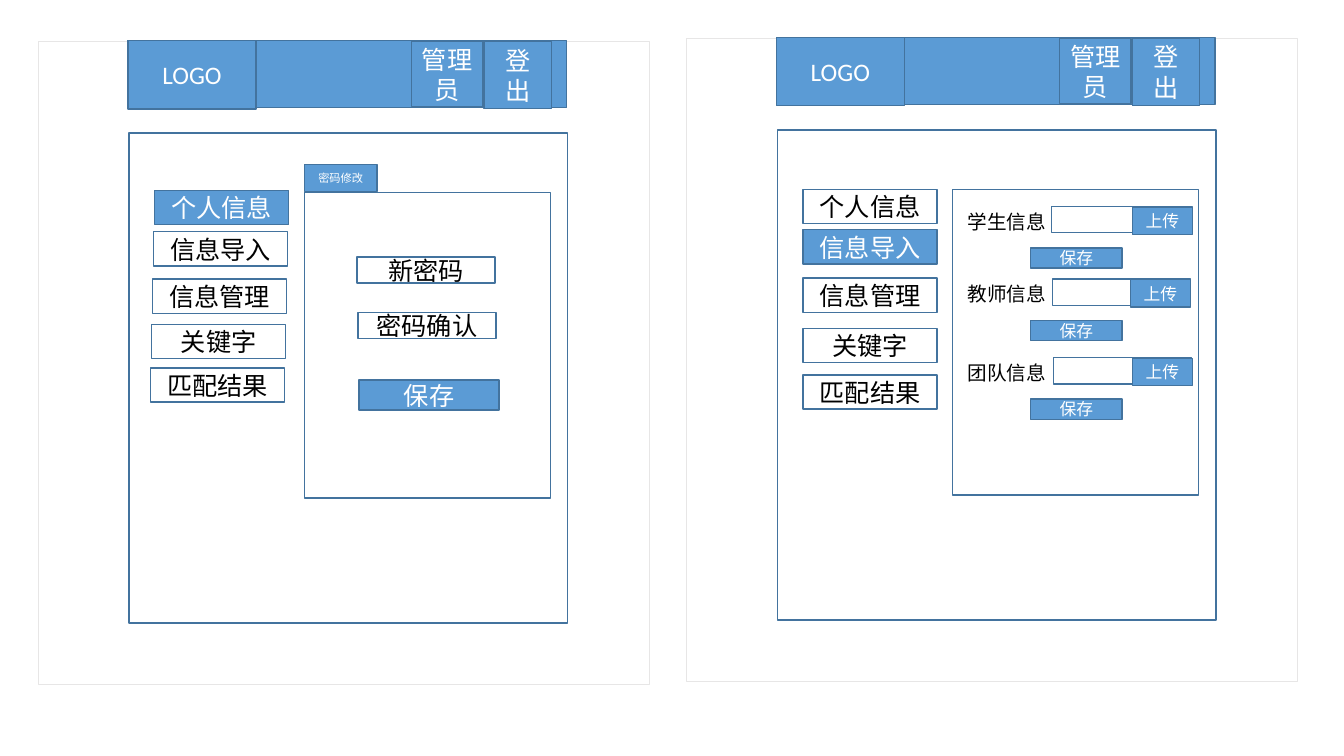
from pptx import Presentation
from pptx.dml.color import RGBColor as Rgb
from pptx.enum.shapes import MSO_SHAPE as Shape
from pptx.enum.text import MSO_ANCHOR as Anchor, PP_ALIGN as Align
from pptx.util import Inches, Pt

COLORS = {"blue": "5B9BD5", "edge": "43739E", "frame": "E7E6E6",
          "white": "FFFFFF", "black": "000000"}
CELL = Inches(0.1)  # one column or row of the slide grid

deck = Presentation()
deck.slide_width, deck.slide_height = Inches(13.33), Inches(7.5)
slide = deck.slides.add_slide(deck.slide_layouts[6])


def write(frame, words, size, color, align):
    frame.word_wrap = True
    paragraph = frame.paragraphs[0]
    paragraph.alignment = align
    run = paragraph.add_run()
    run.text = words
    run.font.size, run.font.name = Pt(size), "Calibri"
    run.font.color.rgb = Rgb.from_string(COLORS[color])


def box(col, row, cols, rows, fill="white", words="", size=18, edge="edge"):
    rect = slide.shapes.add_shape(Shape.RECTANGLE, *(
        round(n * CELL) for n in (col, row, cols, rows)))
    rect.shadow.inherit = False
    if fill:
        rect.fill.solid()
        rect.fill.fore_color.rgb = Rgb.from_string(COLORS[fill])
    else:
        rect.fill.background()
    rect.line.color.rgb = Rgb.from_string(COLORS[edge])
    rect.line.width = Pt(1)
    if words:
        rect.text_frame.vertical_anchor = Anchor.MIDDLE
        ink = "white" if fill == "blue" else "black"
        write(rect.text_frame, words, size, ink, Align.CENTER)


# Both screens: frame, header bar, body, side menu and panel
MENU = ["个人信息", "信息导入", "信息管理", "关键字", "匹配结果"]
SCREENS = [  # left, top, active entry, menu drift per entry, menu rows
    (3.8, 4.1, "个人信息", -0.1, [18.9, 23, 27.7, 32.2, 36.5]),
    (68.1, 3.8, "信息导入", 0, [18.8, 22.8, 27.6, 32.6, 37.2]),
]
for left, top, active, drift, menu_rows in SCREENS:
    box(left, top, 60.6, 63.8, edge="frame")
    box(left + 8.9, top - 0.1, 43.5, 6.7, "blue")
    box(left + 8.9, top - 0.1, 12.7, 6.8, "blue", "LOGO")
    box(left + 37, top, 7.1, 6.5, "blue", "管理员")
    box(left + 44.2, top, 6.7, 6.7, "blue", "登出")
    box(left + 9, top + 9.1, 43.5, 48.6)
    for i, (entry, row) in enumerate(zip(MENU, menu_rows)):
        box(left + 11.55 + drift * i, row, 13.3, 3.4,
            "blue" if entry == active else "white", entry)
    box(left + 26.4, top + 15, 24.4, 30.3, None)

# Password change panel
box(30.2, 16.3, 7.2, 2.7, "blue", "密码修改", 8)
box(35.4, 25.5, 13.7, 2.6, words="新密码")
box(35.5, 31, 13.7, 2.6, words="密码确认")
box(35.6, 37.7, 13.9, 3, "blue", "保存")

# Import panel: label, file field, upload and save buttons
UPLOADS = [("学生信息", 20.5, 104.3, 112.3),
           ("教师信息", 27.7, 104.4, 112.1),
           ("团队信息", 35.5, 104.5, 112.3)]
for source, row, field_col, upload_col in UPLOADS:
    box(field_col, row, 13.7, 2.6)
    box(upload_col, row + 0.05, 6, 2.7, "blue", "上传", 12)
    box(102.2, row + 4.1, 9.1, 2, "blue", "保存", 12)
    label = slide.shapes.add_textbox(*(
        round(n * CELL) for n in (95, row - 0.2, 10.4, 3.3)))
    write(label.text_frame, source, 14, "black", Align.LEFT)

deck.save("out.pptx")
